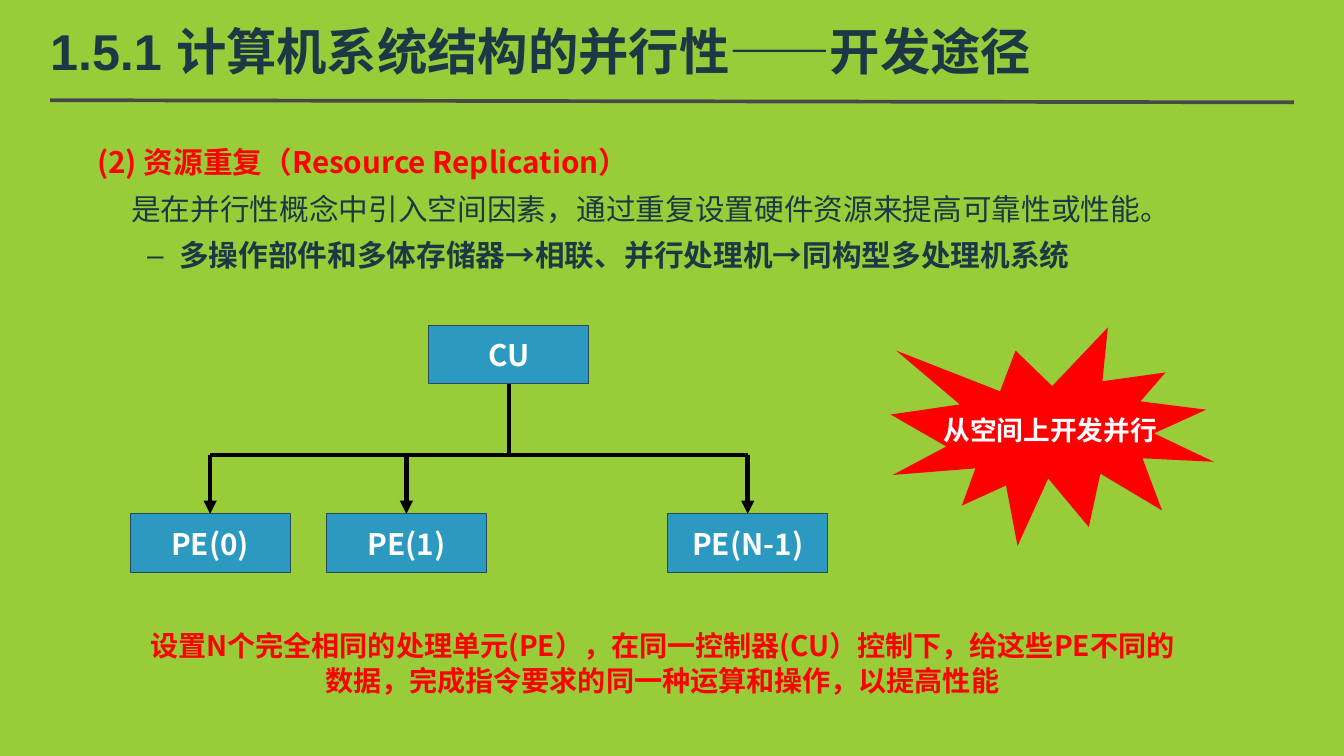
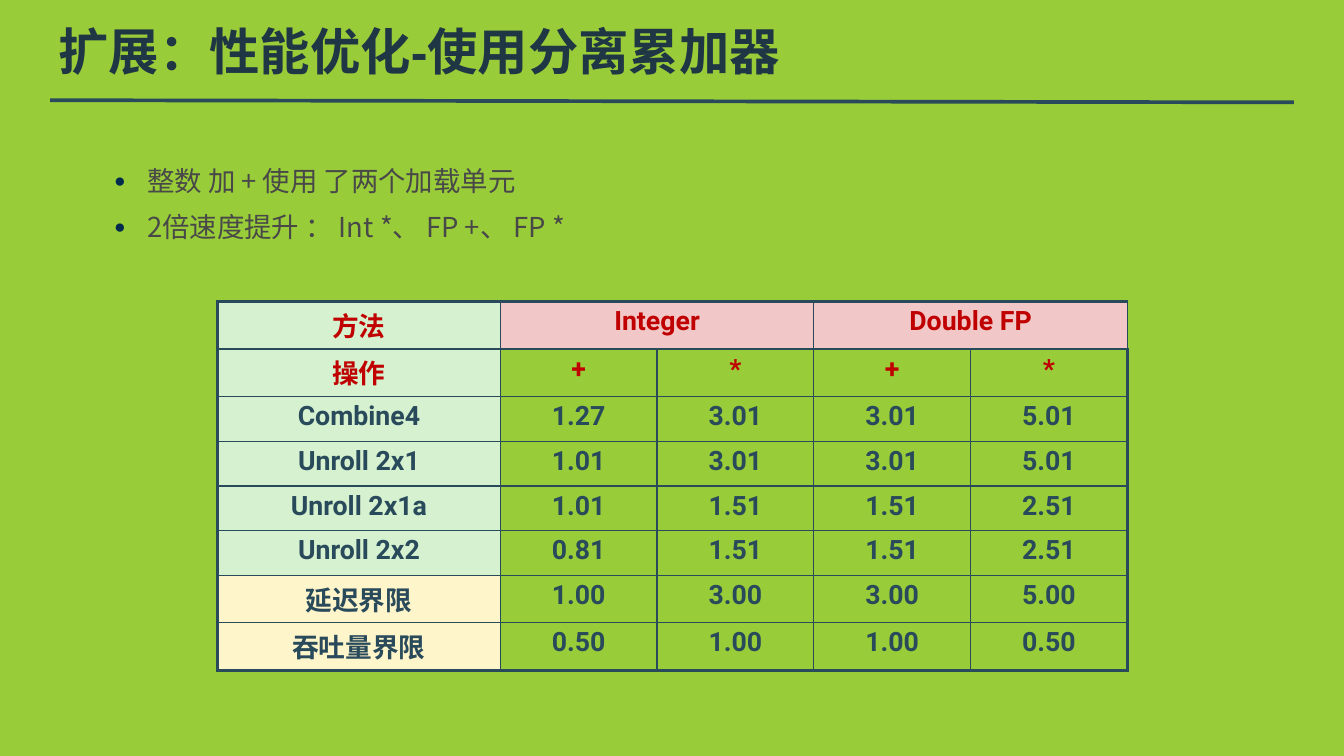
from dataclasses import dataclass

from lxml import etree
from pptx import Presentation
from pptx import util as u
from pptx.dml.color import RGBColor
from pptx.enum import shapes, text
from pptx.oxml import ns

CELL = 0.1
COLUMNS, ROWS = 126, 70.9

LIME = RGBColor(0x99, 0xCC, 0x39)
INK = RGBColor(0x1F, 0x37, 0x44)
SLATE = RGBColor(0x29, 0x4A, 0x5A)
GRAY = RGBColor(0x48, 0x48, 0x49)
NAVY = RGBColor(0x00, 0x2B, 0x4C)
BLUE = RGBColor(0x2C, 0x99, 0xC0)
RED = RGBColor(0xFF, 0x00, 0x00)
CRIMSON = RGBColor(0xC0, 0x00, 0x00)
WHITE = RGBColor(0xFF, 0xFF, 0xFF)
BLACK = RGBColor(0x00, 0x00, 0x00)
MINT = RGBColor(0xD5, 0xF1, 0xCF)
PINK = RGBColor(0xF1, 0xC7, 0xC7)
CREAM = RGBColor(0xFF, 0xF5, 0xCB)

HAN_FONT = "Noto Sans CJK SC"
LEFT, CENTER = text.PP_ALIGN.LEFT, text.PP_ALIGN.CENTER
MIDDLE = text.MSO_ANCHOR.MIDDLE


@dataclass(frozen=True)
class Box:
    left: float
    top: float
    width: float
    height: float

    def lengths(self) -> list:
        return [grid(n) for n in (self.left, self.top, self.width, self.height)]


@dataclass(frozen=True)
class Bullet:
    char: str
    color: RGBColor
    percent: int = 100


@dataclass(frozen=True)
class Node:
    label: str
    left: float
    top: float

    @property
    def box(self) -> Box:
        return Box(self.left, self.top, 15, 5.5)

    @property
    def center(self) -> float:
        return self.left + 7.5


@dataclass(frozen=True)
class Result:
    label: str
    values: tuple
    fill: RGBColor = MINT
    color: RGBColor = SLATE


CONTROL = Node("CU", 40.2, 30.5)
ELEMENTS = [Node("PE(0)", 12.2, 48.2), Node("PE(1)", 30.6, 48.2),
            Node("PE(N-1)", 62.6, 48.2)]
BUS_TOP = 42.7

RESULTS = [
    Result("方法", ("Integer", "", "Double FP", ""), color=CRIMSON),
    Result("操作", ("+", "*", "+", "*"), color=CRIMSON),
    Result("Combine4", ("1.27", "3.01", "3.01", "5.01")),
    Result("Unroll 2x1", ("1.01", "3.01", "3.01", "5.01")),
    Result("Unroll 2x1a", ("1.01", "1.51", "1.51", "2.51")),
    Result("Unroll 2x2", ("0.81", "1.51", "1.51", "2.51")),
    Result("延迟界限", ("1.00", "3.00", "3.00", "5.00"), CREAM),
    Result("吞吐量界限", ("0.50", "1.00", "1.00", "0.50"), CREAM),
]


def grid(cells: float) -> int:
    return u.Inches(cells * CELL)


def child(parent, tag: str, **attributes):
    return etree.SubElement(parent, ns.qn(tag), **attributes)


def write(paragraph, words: str, *, size: float, color: RGBColor, font=HAN_FONT,
          bold=False, align=LEFT, spacing=1.0, level=0, margin=0.0, hanging=0.0,
          bullet=None) -> None:
    paragraph.level = level
    paragraph.alignment = align
    paragraph.line_spacing = spacing
    paragraph.space_before = u.Pt(0)
    properties = paragraph._p.get_or_add_pPr()
    properties.set("marL", str(grid(margin)))
    properties.set("indent", str(-grid(hanging)))
    if bullet:
        child(child(properties, "a:buClr"), "a:srgbClr", val=str(bullet.color))
        child(properties, "a:buSzPct", val=str(bullet.percent * 1000))
        child(properties, "a:buFont", typeface="Arial")
        child(properties, "a:buChar", char=bullet.char)
    else:
        child(properties, "a:buNone")
    run = paragraph.add_run()
    run.text = words
    run.font.size = u.Pt(size)
    run.font.bold = bold
    run.font.color.rgb = color
    run.font.name = font
    child(run._r.get_or_add_rPr(), "a:ea", typeface=HAN_FONT)


def place(shape, box: Box) -> None:
    shape.left, shape.top, shape.width, shape.height = box.lengths()


def add_line(slide, start: tuple, end: tuple, color: RGBColor, width: float,
             arrow=False):
    line = slide.shapes.add_connector(
        shapes.MSO_CONNECTOR.STRAIGHT, *(grid(n) for n in start + end))
    line.line.color.rgb = color
    line.line.width = u.Pt(width)
    if arrow:
        child(line.line._get_or_add_ln(), "a:tailEnd", type="triangle")
    child(line._element.spPr, "a:effectLst")
    return line


def add_label_shape(slide, kind, box: Box, words: str, fill: RGBColor, *,
                    outline=None, **style):
    shape = slide.shapes.add_shape(kind, *box.lengths())
    shape.shadow.inherit = False
    shape.fill.solid()
    shape.fill.fore_color.rgb = fill
    if outline:
        shape.line.color.rgb = outline
        shape.line.width = u.Pt(0.75)
    else:
        shape.line.fill.background()
    shape.text_frame.word_wrap = False
    shape.text_frame.vertical_anchor = MIDDLE
    write(shape.text_frame.paragraphs[0], words, color=WHITE, bold=True,
          align=CENTER, **style)
    return shape


def start_slide(presentation, title: str, title_left: float, rule: RGBColor):
    slide = presentation.slides.add_slide(presentation.slide_layouts[1])
    add_line(slide, (4.7, 9.4), (121.3, 9.6), rule, 2.5)
    heading = slide.shapes.title
    place(heading, Box(title_left, 1.6, 116.5, 6.3))
    frame = heading.text_frame
    frame.margin_left = frame.margin_top = frame.margin_right = frame.margin_bottom = 0
    frame.vertical_anchor = MIDDLE
    frame.auto_size = text.MSO_AUTO_SIZE.NONE
    write(frame.paragraphs[0], title, size=34, color=INK, font="Arial", bold=True)
    return slide


def fill_body(slide, box: Box, items: list, **shared) -> None:
    body = slide.placeholders[1]
    place(body, box)
    frame = body.text_frame
    frame.auto_size = text.MSO_AUTO_SIZE.NONE
    for index, (words, style) in enumerate(items):
        paragraph = frame.add_paragraph() if index else frame.paragraphs[0]
        write(paragraph, words, **shared, **style)


def draw_processors(slide) -> None:
    nodes = [add_label_shape(slide, shapes.MSO_SHAPE.RECTANGLE, node.box, node.label,
                             BLUE, outline=SLATE, size=20)
             for node in [CONTROL] + ELEMENTS]
    trunk = add_line(slide, (CONTROL.center, CONTROL.top + 5.5),
                     (CONTROL.center, BUS_TOP), BLACK, 3)
    trunk.begin_connect(nodes[0], 2)
    add_line(slide, (ELEMENTS[0].center, BUS_TOP), (ELEMENTS[-1].center, BUS_TOP),
             BLACK, 3)
    for node, shape in zip(ELEMENTS, nodes[1:]):
        branch = add_line(slide, (node.center, BUS_TOP), (node.center, node.top),
                          BLACK, 3, arrow=True)
        branch.end_connect(shape, 0)


def set_borders(cell, edges: dict) -> None:
    properties = cell._tc.get_or_add_tcPr()
    for position, (tag, outer) in enumerate(edges.items()):
        width = u.Pt(2.25 if outer else 1)
        border = etree.Element(ns.qn(tag), w=str(width))
        child(child(border, "a:solidFill"), "a:srgbClr", val=str(SLATE))
        properties.insert(position, border)


def draw_results(slide) -> None:
    last_row, last_column = len(RESULTS) - 1, len(RESULTS[0].values)
    table = slide.shapes.add_table(last_row + 1, last_column + 1,
                                   *Box(20.4, 28.3, 85.3, 33.9).lengths()).table
    table.first_row = table.horz_banding = False
    for index, column in enumerate(table.columns):
        column.width = grid(14.7 if index else 26.5)
    for index, row in enumerate(table.rows):
        row.height = grid(4.2 if index else 4.3)
    for r, result in enumerate(RESULTS):
        for c, words in enumerate((result.label,) + result.values):
            cell = table.cell(r, c)
            cell.margin_left = cell.margin_right = grid(0.5)
            cell.margin_top = cell.margin_bottom = grid(0.5)
            if c == 0 or r == 0:
                cell.fill.solid()
                cell.fill.fore_color.rgb = PINK if c else result.fill
            else:
                cell.fill.background()
            set_borders(cell, {"a:lnL": c == 0, "a:lnR": c == last_column,
                               "a:lnT": r == 0, "a:lnB": r == last_row})
            if words:
                write(cell.text_frame.paragraphs[0], words, size=18, font="Roboto",
                      color=result.color, bold=True, align=CENTER, spacing=0.95)
    for first in (1, 3):
        table.cell(0, first).merge(table.cell(0, first + 1))


def build_replication(presentation) -> None:
    slide = start_slide(presentation, "1.5.1 计算机系统结构的并行性——开发途径", 4.7, GRAY)
    fill_body(slide, Box(8.1, 12, 116, 15.8), [
        ("(2) 资源重复（Resource Replication）", dict(color=RED, bold=True)),
        ("是在并行性概念中引入空间因素，通过重复设置硬件资源来提高可靠性或性能。",
         dict(color=INK, margin=3.2)),
        ("多操作部件和多体存储器→相联、并行处理机→同构型多处理机系统",
         dict(color=INK, bold=True, level=1, margin=7.7, hanging=3,
              bullet=Bullet("–", INK))),
    ], size=20, spacing=u.Pt(31.4))
    draw_processors(slide)
    add_label_shape(slide, shapes.MSO_SHAPE.EXPLOSION1, Box(83.5, 30.7, 30.3, 20.5),
                    "从空间上开发并行", RED, size=18, font="Times New Roman")
    summary = slide.shapes.add_textbox(*Box(12.6, 58.3, 99, 6.5).lengths())
    summary.text_frame.word_wrap = True
    write(summary.text_frame.paragraphs[0],
          "设置N个完全相同的处理单元(PE），在同一控制器(CU）控制下，给这些PE不同的数据，"
          "完成指令要求的同一种运算和操作，以提高性能",
          size=19, color=RED, bold=True, align=CENTER, spacing=u.Pt(23.6))


def build_accumulators(presentation) -> None:
    slide = start_slide(presentation, "扩展：性能优化-使用分离累加器", 5.5, SLATE)
    style = dict(level=1, margin=8.1, hanging=3.1, bullet=Bullet("●", NAVY, 70))
    fill_body(slide, Box(4.7, 13.7, 60.5, 10.2), [
        ("整数 加 + 使用 了两个加载单元", style),
        ("2倍速度提升 ： Int *、 FP +、 FP *", style),
    ], size=18.5, color=GRAY, spacing=u.Pt(31))
    draw_results(slide)


def main() -> None:
    presentation = Presentation()
    presentation.slide_width, presentation.slide_height = grid(COLUMNS), grid(ROWS)
    background = presentation.slide_master.background.fill
    background.solid()
    background.fore_color.rgb = LIME
    build_replication(presentation)
    build_accumulators(presentation)
    presentation.save("out.pptx")


if __name__ == "__main__":
    main()
